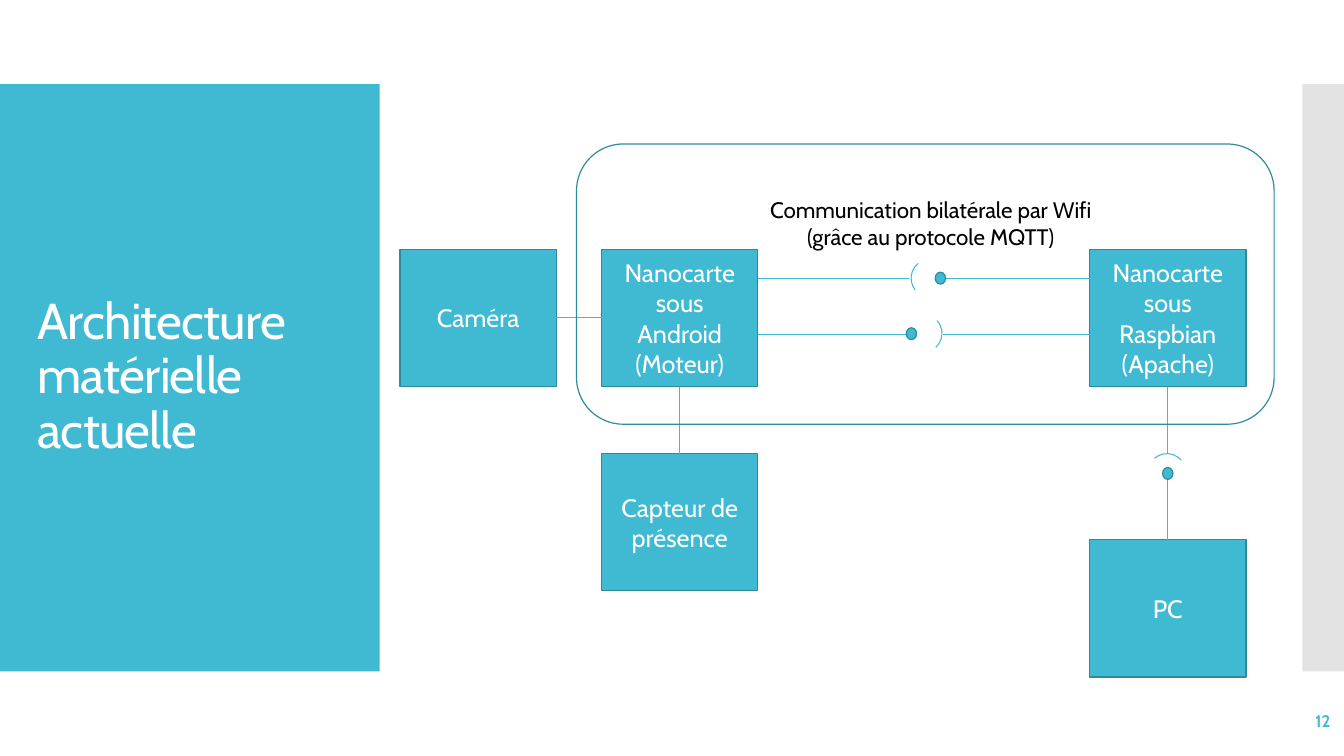
from lxml import etree
from pptx import Presentation
from pptx import util as u
from pptx.dml.color import RGBColor
from pptx.enum import shapes, text
from pptx.oxml import ns

Kind = shapes.MSO_SHAPE
Align = text.PP_ALIGN
Anchor = text.MSO_ANCHOR


def color(value):
    return RGBColor.from_string(value)


class Diagram:
    font = "Cabin"
    accent = "40BAD2"
    border = "2F8A9B"
    white = "FFFFFF"
    box_width, box_height = 3.94, 3.46
    dot_width, dot_height = 0.26, 0.3
    arc_size = 0.96

    def __init__(self, page):
        self.page = page

    def shape(self, kind, left, top, width, height, fill=None, line=None, weight=0.85):
        item = self.page.shapes.add_shape(
            kind, u.Cm(left), u.Cm(top), u.Cm(width), u.Cm(height))
        item.shadow.inherit = False
        if fill:
            item.fill.solid()
            item.fill.fore_color.rgb = color(fill)
        else:
            item.fill.background()
        if line:
            item.line.color.rgb = color(line)
            item.line.width = u.Pt(weight)
        else:
            item.line.fill.background()
        return item

    def fill_text(self, frame, lines, size, ink, align, anchor=Anchor.MIDDLE, bold=False):
        frame.word_wrap = True
        frame.vertical_anchor = anchor
        for index, line in enumerate(lines):
            para = frame.paragraphs[0] if index == 0 else frame.add_paragraph()
            para.add_run().text = line
            para.alignment = align
            para.font.name = self.font
            para.font.size = u.Pt(size)
            para.font.bold = bold
            para.font.color.rgb = color(ink)

    def label(self, left, top, width, height, line, size, ink, align, **options):
        area = self.page.shapes.add_textbox(
            u.Cm(left), u.Cm(top), u.Cm(width), u.Cm(height))
        self.fill_text(area.text_frame, [line], size, ink, align, **options)
        return area.text_frame.paragraphs[0]

    def box(self, left, top, *lines):
        item = self.shape(Kind.RECTANGLE, left, top, self.box_width, self.box_height,
                          self.accent, self.border)
        self.fill_text(item.text_frame, lines, 18, self.white, Align.CENTER)
        return item

    def line(self, x1, y1, x2, y2, begin=None, end=None):
        item = self.page.shapes.add_connector(
            shapes.MSO_CONNECTOR.STRAIGHT, u.Cm(x1), u.Cm(y1), u.Cm(x2), u.Cm(y2))
        item.line.color.rgb = color(self.accent)
        item.line.width = u.Pt(0.75)
        etree.SubElement(item._element.spPr, ns.qn("a:effectLst"))
        if begin:
            item.begin_connect(*begin)
        if end:
            item.end_connect(*end)

    def socket(self, left, top, rotation):
        item = self.shape(Kind.ARC, left, top, self.arc_size, self.arc_size,
                          line=self.accent, weight=0.75)
        item.rotation = rotation

    def dot(self, x, y):
        self.shape(Kind.OVAL, x - self.dot_width / 2, y - self.dot_height / 2,
                   self.dot_width, self.dot_height, self.accent, self.border)


def main():
    deck = Presentation()
    deck.slide_width, deck.slide_height = u.Cm(33.87), u.Cm(19.05)
    draw = Diagram(deck.slides.add_slide(deck.slide_layouts[6]))

    draw.shape(Kind.RECTANGLE, 0, 2.12, 9.57, 14.8, draw.accent)
    draw.shape(Kind.RECTANGLE, 32.82, 2.12, 1.05, 14.8, "E3E3E3")
    title = draw.label(0.7, 3.12, 8.18, 12.78, "Architecture matérielle actuelle",
                       36, draw.white, Align.LEFT)
    title.line_spacing = 0.9
    title.runs[0]._r.get_or_add_rPr().set("spc", "-60")

    camera_left, client_left, server_left = 10.08, 15.16, 27.46
    top_row = 6.28
    client = draw.box(client_left, top_row, "Nanocarte sous Android", "(Moteur)")
    server = draw.box(server_left, top_row, "Nanocarte sous Raspbian", "(Apache)")
    sensor = draw.box(client_left, 11.43, "Capteur de présence")
    camera = draw.box(camera_left, top_row, "Caméra")
    computer = draw.box(server_left, 13.6, "PC")

    draw.label(18.8, 4.83, 9.32, 1.63,
               "Communication bilatérale par Wifi (grâce au protocole MQTT)",
               16, "000000", Align.CENTER, anchor=Anchor.TOP)

    client_right = client_left + draw.box_width
    for y in (7.01, 8.43):
        draw.line(client_right, y, 22.91, y)
        draw.line(23.77, y, 27.58, y)
    draw.line(0, 0, 0, 0, (client, 2), (sensor, 0))
    draw.line(0, 0, 0, 0, (camera, 3), (client, 1))
    server_middle = server_left + draw.box_width / 2
    draw.line(0, 0, server_middle, 11.43, begin=(server, 2))
    draw.line(0, 0, server_middle, 12.06, begin=(computer, 0))

    for left, top, rotation in ((22.96, 6.53, 231), (22.78, 7.92, 48), (28.93, 11.43, 319)):
        draw.socket(left, top, rotation)
    for x, y in ((23.7, 7.01), (22.97, 8.41), (server_middle, 11.93)):
        draw.dot(x, y)

    draw.label(29.54, 17.65, 4.24, 1.02, "12", 12, draw.accent, Align.RIGHT, bold=True)
    draw.shape(Kind.ROUNDED_RECTANGLE, 14.53, 3.63, 17.58, 7.06, line=draw.border)

    deck.save("out.pptx")


if __name__ == "__main__":
    main()
